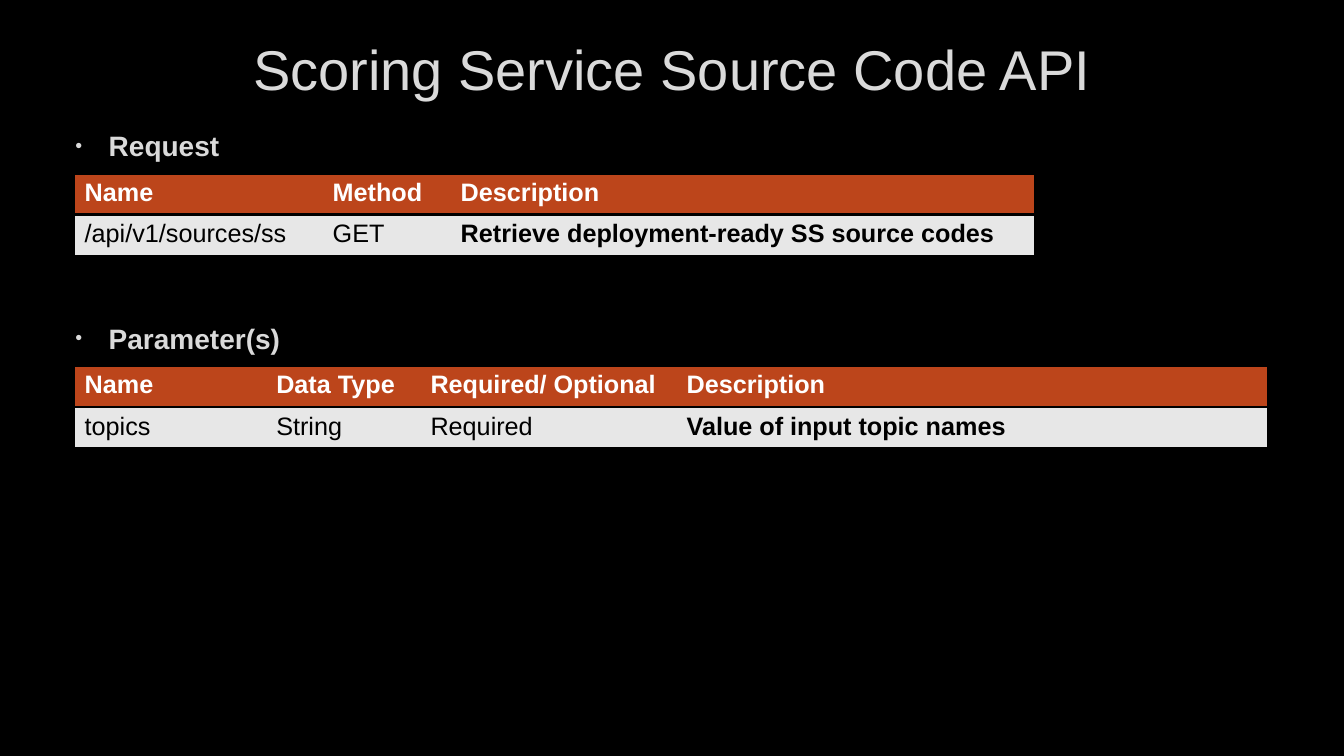
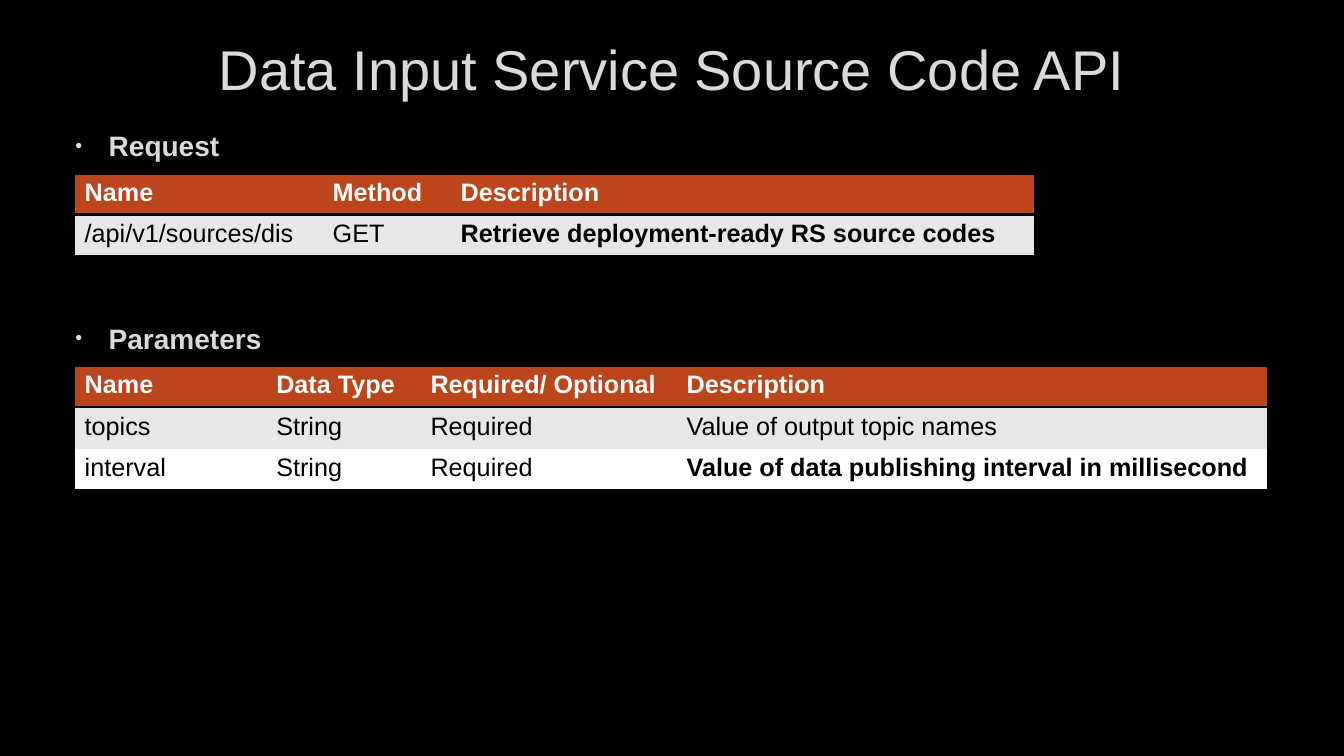
from dataclasses import dataclass

from lxml import etree
from pptx import Presentation
from pptx.dml.color import RGBColor
from pptx.enum.text import MSO_ANCHOR, PP_ALIGN
from pptx.oxml.ns import qn
from pptx.slide import Slide
from pptx.table import _Cell
from pptx.text.text import Font, _Paragraph
from pptx.util import Inches, Pt

BOTTOM = MSO_ANCHOR.BOTTOM
CENTER = PP_ALIGN.CENTER

BLACK = RGBColor(0x00, 0x00, 0x00)
WHITE = RGBColor(0xFF, 0xFF, 0xFF)
LIGHT_GREY = RGBColor(0xDA, 0xDA, 0xDA)
OUTLINE_GREY = RGBColor(0x40, 0x40, 0x40)
RUST = RGBColor(0xBC, 0x45, 0x1B)
BAND_GREY = RGBColor(0xE7, 0xE7, 0xE7)

FONT = "Arial"
TABLE_LEFT = 0.74
ROW_HEIGHT = 0.41
HEADING_LEFT = 0.61
HEADING_RISE = 0.66


@dataclass(frozen=True)
class TableLayout:
    top: float
    headers: tuple[str, ...]
    widths: tuple[float, ...]


@dataclass(frozen=True)
class Section:
    heading: str
    layout: TableLayout
    rows: tuple[tuple[str, ...], ...]


@dataclass(frozen=True)
class ApiPage:
    title: str
    sections: tuple[Section, ...]


REQUEST = TableLayout(1.72, ("Name", "Method", "Description"), (2.46, 1.27, 5.79))
PARAMETERS = TableLayout(
    3.63,
    ("Name", "Data Type", "Required/ Optional", "Description"),
    (1.9, 1.53, 2.54, 5.86),
)

PAGES = (
    ApiPage("Scoring Service Source Code API", (
        Section("Request", REQUEST, (
            ("/api/v1/sources/ss", "GET", "Retrieve deployment-ready SS source codes"),
        )),
        Section("Parameter(s)", PARAMETERS, (
            ("topics", "String", "Required", "Value of input topic names"),
        )),
    )),
    ApiPage("Data Input Service Source Code API", (
        Section("Request", REQUEST, (
            ("/api/v1/sources/dis", "GET", "Retrieve deployment-ready RS source codes"),
        )),
        Section("Parameters", PARAMETERS, (
            ("topics", "String", "Required", "Value of output topic names"),
            ("interval", "String", "Required",
             "Value of data publishing interval in millisecond"),
        )),
    )),
)


def style_font(font: Font, size: float, color: RGBColor, bold: bool) -> None:
    font.name = FONT
    font.size = Pt(size)
    font.bold = bold
    font.color.rgb = color


def outline_text(paragraph: _Paragraph) -> None:
    properties = paragraph.runs[0].font._element
    line = etree.Element(qn("a:ln"), w=str(Pt(0.75)))
    fill = etree.SubElement(line, qn("a:solidFill"))
    color = etree.SubElement(fill, qn("a:srgbClr"), val=str(OUTLINE_GREY))
    etree.SubElement(color, qn("a:alpha"), val="10000")
    properties.insert(0, line)


def add_bullet(paragraph: _Paragraph) -> None:
    properties = paragraph._p.get_or_add_pPr()
    properties.set("marL", str(Inches(0.37)))
    properties.set("indent", str(Inches(-0.33)))
    color = etree.SubElement(properties, qn("a:buClr"))
    etree.SubElement(color, qn("a:srgbClr"), val=str(LIGHT_GREY))
    etree.SubElement(properties, qn("a:buSzPct"), val="70000")
    etree.SubElement(properties, qn("a:buFont"), typeface=FONT)
    etree.SubElement(properties, qn("a:buChar"), char="•")


def set_borders(cell: _Cell, top: bool, bottom: bool) -> None:
    properties = cell._tc.get_or_add_tcPr()
    for side, visible in (("L", False), ("R", False), ("T", top), ("B", bottom)):
        line = etree.SubElement(properties, qn(f"a:ln{side}"))
        if visible:
            line.set("w", str(Pt(2)))
            fill = etree.SubElement(line, qn("a:solidFill"))
            etree.SubElement(fill, qn("a:srgbClr"), val=str(BLACK))
        else:
            etree.SubElement(line, qn("a:noFill"))


def add_title(slide: Slide, title: str) -> None:
    frame = slide.shapes.add_textbox(
        Inches(1), Inches(0), Inches(11.32), Inches(1.06)).text_frame
    frame.word_wrap = True
    frame.vertical_anchor = BOTTOM
    frame.text = title
    paragraph = frame.paragraphs[0]
    paragraph.alignment = CENTER
    style_font(paragraph.runs[0].font, 40, LIGHT_GREY, False)
    outline_text(paragraph)


def add_heading(slide: Slide, section: Section) -> None:
    frame = slide.shapes.add_textbox(
        Inches(HEADING_LEFT), Inches(section.layout.top - HEADING_RISE),
        Inches(10.17), Inches(0.7)).text_frame
    frame.word_wrap = True
    frame.text = section.heading
    paragraph = frame.paragraphs[0]
    paragraph.line_spacing = 1.5
    paragraph.space_before = Pt(4)
    paragraph.space_after = Pt(6)
    add_bullet(paragraph)
    style_font(paragraph.runs[0].font, 20, LIGHT_GREY, True)
    outline_text(paragraph)


def add_api_table(slide: Slide, section: Section) -> None:
    layout = section.layout
    rows = (layout.headers, *section.rows)
    table = slide.shapes.add_table(
        len(rows), len(layout.widths), Inches(TABLE_LEFT), Inches(layout.top),
        Inches(sum(layout.widths)), Inches(ROW_HEIGHT * len(rows))).table
    for column, width in zip(table.columns, layout.widths):
        column.width = Inches(width)
    last_row, last_column = len(rows) - 1, len(layout.widths) - 1
    for row_index, values in enumerate(rows):
        table.rows[row_index].height = Inches(ROW_HEIGHT)
        is_header = row_index == 0
        band = RUST if is_header else BAND_GREY if row_index % 2 else WHITE
        for column_index, value in enumerate(values):
            cell = table.cell(row_index, column_index)
            set_borders(cell, top=row_index <= 1,
                        bottom=is_header or row_index == last_row)
            cell.fill.solid()
            cell.fill.fore_color.rgb = band
            cell.text_frame.text = value
            is_emphasised = (row_index, column_index) == (last_row, last_column)
            style_font(cell.text_frame.paragraphs[0].runs[0].font, 18,
                       WHITE if is_header else BLACK, is_header or is_emphasised)


def main() -> None:
    deck = Presentation()
    deck.slide_width = Inches(13.33)
    deck.slide_height = Inches(7.5)
    background = deck.slide_master.background.fill
    background.solid()
    background.fore_color.rgb = BLACK
    for page in PAGES:
        slide = deck.slides.add_slide(deck.slide_layouts[6])
        add_title(slide, page.title)
        for section in page.sections:
            add_api_table(slide, section)
            add_heading(slide, section)
    deck.save("out.pptx")


if __name__ == "__main__":
    main()
